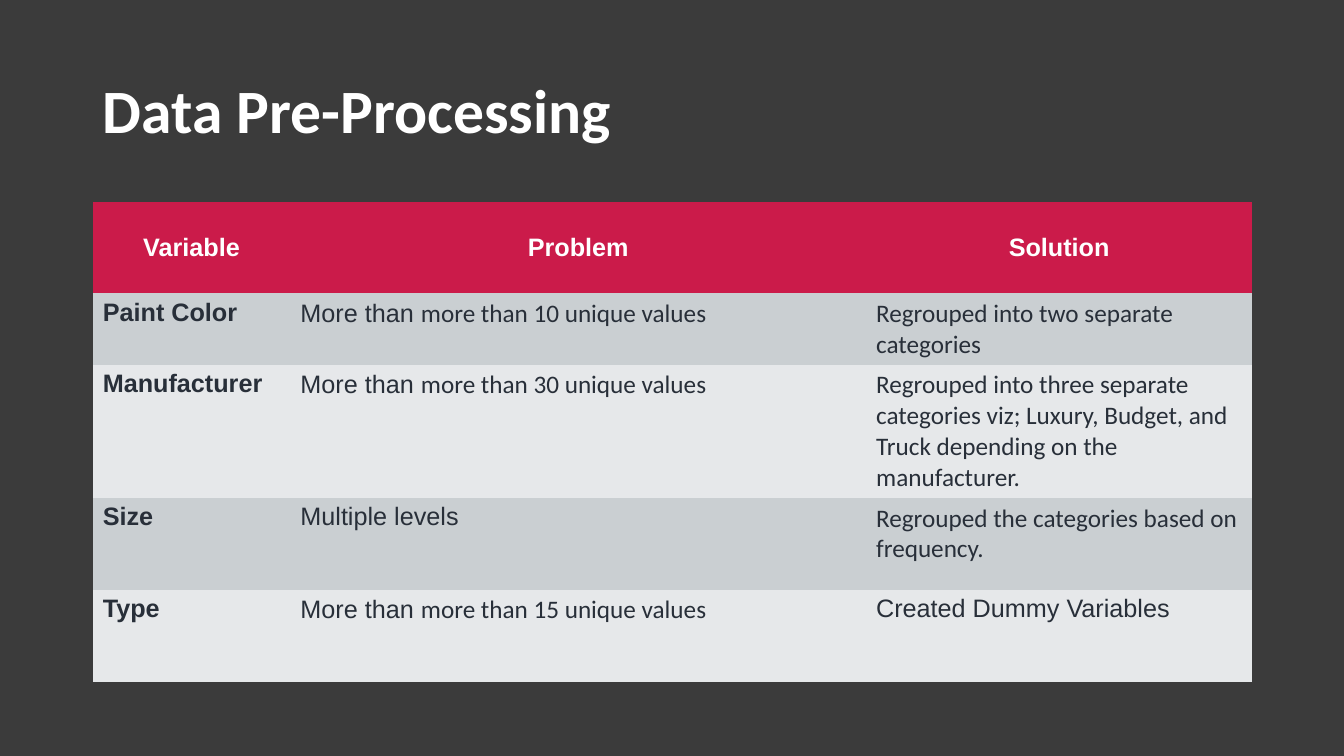
"""Build the Data Pre-Processing slide: a title above a table of variables, problems and solutions."""
from dataclasses import dataclass

import pptx
import pptx.dml.color
import pptx.enum.text
import pptx.util

Inches = pptx.util.Inches
Align = pptx.enum.text.PP_ALIGN
Anchor = pptx.enum.text.MSO_ANCHOR


@dataclass(frozen=True)
class Theme:
    background: str = "3B3B3B"
    header: str = "CB1B4A"
    bands: tuple = ("CACFD2", "E6E8EA")
    light: str = "FFFFFF"
    dark: str = "282F39"
    title_size: int = 44
    table_size: int = 18
    table_font: str = "Arial"
    accent_font: str = "Calibri"


theme = Theme()
ARIAL, CALIBRI = theme.table_font, theme.accent_font
NO_GRID_STYLE = "{2D5ABB26-0587-4C30-8999-92F81FD0307C}"


def fill_solid(fill, color):
    fill.solid()
    fill.fore_color.rgb = pptx.dml.color.RGBColor.from_string(color)


def style_span(span, font, size, color, bold):
    span.font.name = font
    span.font.size = pptx.util.Pt(size)
    span.font.bold = bold
    span.font.color.rgb = pptx.dml.color.RGBColor.from_string(color)


deck = pptx.Presentation()
deck.slide_width, deck.slide_height = Inches(13.33), Inches(7.5)
page = deck.slides.add_slide(deck.slide_layouts[5])
fill_solid(page.background.fill, theme.background)

title = page.shapes.title
title.left, title.top = Inches(0.92), Inches(0.4)
title.width, title.height = Inches(11.5), Inches(1.45)
title.text_frame.text = "Data Pre-Processing"
title.text_frame.vertical_anchor = Anchor.MIDDLE
para = title.text_frame.paragraphs[0]
para.alignment = Align.LEFT
para.line_spacing = 0.9
style_span(para.runs[0], CALIBRI, theme.title_size, theme.light, True)

rows = [
    [[("Variable", ARIAL)], [("Problem", ARIAL)], [("Solution", ARIAL)]],
    [
        [("Paint Color", ARIAL)],
        [("More than ", ARIAL), ("more than 10 unique values", CALIBRI)],
        [("Regrouped into two separate categories", CALIBRI)],
    ],
    [
        [("Manufacturer", ARIAL)],
        [("More than ", ARIAL), ("more than 30 unique values", CALIBRI)],
        [("Regrouped into three separate categories viz; Luxury, Budget, and "
          "Truck depending on the manufacturer.", CALIBRI)],
    ],
    [
        [("Size", ARIAL)],
        [("Multiple levels", ARIAL)],
        [("Regrouped the categories based on frequency.", CALIBRI)],
    ],
    [
        [("Type", ARIAL)],
        [("More than ", ARIAL), ("more than 15 unique values", CALIBRI)],
        [("Created Dummy Variables", ARIAL)],
    ],
]
column_widths = [1.96, 5.71, 3.83]
row_heights = [0.91, 0.71, 1.32, 0.91, 0.91]

frame = page.shapes.add_table(
    len(rows), len(column_widths), Inches(0.92), Inches(2),
    Inches(sum(column_widths)), Inches(sum(row_heights)))
table = frame.table
table.horz_banding = False
for style_id in frame._element.xpath(".//a:tableStyleId"):
    style_id.text = NO_GRID_STYLE
for column, width in zip(table.columns, column_widths):
    column.width = Inches(width)

for row_index, (row, height) in enumerate(zip(rows, row_heights)):
    table.rows[row_index].height = Inches(height)
    is_header = row_index == 0
    row_fill = theme.header if is_header else theme.bands[(row_index - 1) % 2]
    for column_index, spans in enumerate(row):
        cell = table.cell(row_index, column_index)
        fill_solid(cell.fill, row_fill)
        cell.vertical_anchor = Anchor.MIDDLE if is_header else Anchor.TOP
        para = cell.text_frame.paragraphs[0]
        para.alignment = Align.CENTER if is_header else Align.LEFT
        for text, font in spans:
            span = para.add_run()
            span.text = text
            style_span(span, font, theme.table_size,
                       theme.light if is_header else theme.dark,
                       is_header or column_index == 0)

deck.save("out.pptx")
